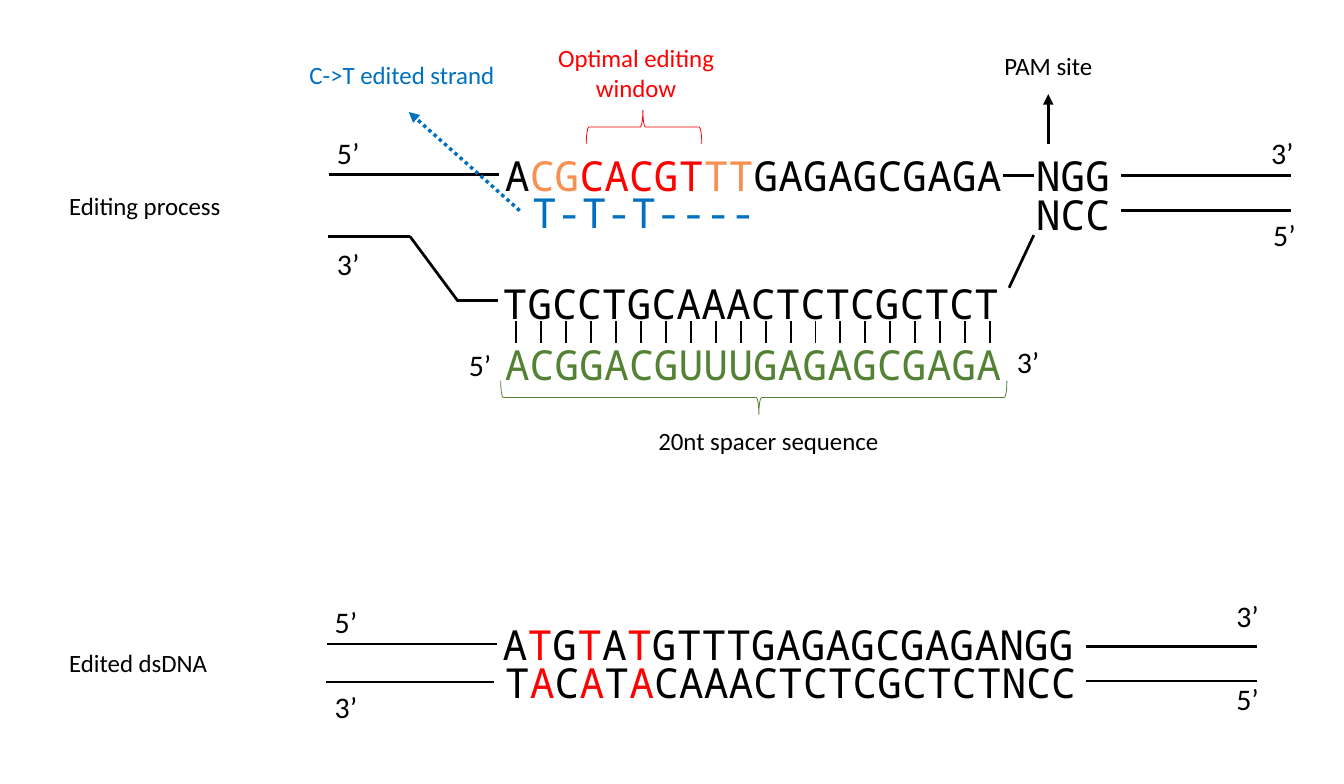
"""Build a slide showing the C-to-T base editing process and the edited dsDNA."""
import pptx
import pptx.dml.color
import pptx.enum.dml
import pptx.enum.shapes
import pptx.enum.text
import pptx.oxml
import pptx.oxml.ns
import pptx.util
from dataclasses import dataclass, field

Pt = pptx.util.Pt
ALIGN = pptx.enum.text.PP_ALIGN
SHAPE = pptx.enum.shapes.MSO_SHAPE


@dataclass
class Theme:
    """Colours, fonts and type sizes of the slide."""
    colours: dict = field(default_factory=lambda: {
        "black": "000000", "red": "FF0000", "orange": "F89051",
        "green": "548235", "blue": "0070C0"})
    sequence: dict = field(default_factory=lambda: {"name": "Noto Sans Mono", "size": Pt(26.6)})
    end: dict = field(default_factory=lambda: {"name": "Calibri", "size": Pt(19.2)})
    label: dict = field(default_factory=lambda: {"name": "Calibri", "size": Pt(16)})

    def colour(self, name):
        return pptx.dml.color.RGBColor.from_string(self.colours[name])


THEME = Theme()
PAGE_SIZE = (864, 504)
SEQUENCE_HEIGHT, END_HEIGHT, LABEL_HEIGHT = 39.6, 30.2, 26.6

SEQUENCES = [
    (317.5, 214.6, 400, [("ACGGACGUUUGAGAGCGAGA", "green")]),
    (317.5, 92.9, 400, [("A", "black"), ("CG", "orange"), ("CACGT", "red"),
                        ("TT", "orange"), ("GAGAGCGAGA", "black")]),
    (316.1, 175, 400, [("TGCCTGCAAACTCTCGCTCT", "black")]),
    (658.8, 92.9, 74.2, [("NGG", "black")]),
    (658.8, 118.1, 74.2, [("NCC", "black")]),
    (335, 116.6, 170, [("T-T-T----", "blue")]),
    (316.1, 394.6, 400, [("A", "black"), ("T", "red"), ("G", "black"), ("T", "red"),
                         ("A", "black"), ("T", "red"), ("GTTTGAGAGCGAGANGG", "black")]),
    (317.5, 419, 400, [("T", "black"), ("A", "red"), ("C", "black"), ("A", "red"),
                       ("T", "black"), ("A", "red"), ("CAAACTCTCGCTCTNCC", "black")]),
]
STRAND_ENDS = [
    (209.5, 82.8, "5’"), (209.5, 154.1, "3’"),
    (810, 82.8, "3’"), (811.4, 135.4, "5’"),
    (294.3, 219.6, "5’"), (646.6, 217.4, "3’"),
    (208.1, 384.5, "5’"), (208.1, 439.2, "3’"),
    (787.7, 380.9, "3’"), (787.7, 434.2, "5’"),
]
LABELS = [
    (638.6, 28.8, 133.2, ["PAM site"], "black", ALIGN.LEFT),
    (295.9, 23.8, 226.1, ["Optimal editing", "window"], "red", ALIGN.CENTER),
    (308.2, 270, 371.5, ["20nt spacer sequence"], "black", ALIGN.CENTER),
    (145.4, 34.6, 226.1, ["C->T edited strand"], "blue", ALIGN.CENTER),
    (37.4, 118.8, 133.2, ["Editing process"], "black", ALIGN.LEFT),
    (37.4, 412.6, 133.2, ["Edited dsDNA"], "black", ALIGN.LEFT),
]
STRANDS = [
    (211.7, 112.3, 321.1, 112.3), (293.8, 193, 320.4, 193),
    (720.7, 113, 830.2, 113), (720.7, 135.4, 830.2, 135.4),
    (648.7, 185, 664.6, 151.2), (645.1, 113, 664.6, 113),
    (263.5, 151.9, 294.5, 193.7), (211, 151.9, 263.5, 151.9),
    (210.2, 414, 319.7, 414), (209.5, 438.5, 317.5, 438.5),
    (698.4, 415.4, 807.8, 415.4), (698.4, 437.8, 807.8, 437.8),
]
ARROWS = [
    ((673.9, 92.9, 673.9, 60.5), "black", None),
    ((334.1, 135.4, 262.8, 72), "blue", pptx.enum.dml.MSO_LINE.ROUND_DOT),
]
BRACES = [
    ((473.8, 92.9, 21.6, 325.4), 270, "green"),
    ((403.2, 44.6, 21.6, 74.2), 90, "red"),
]
PAIRS, PAIR_LEFT, PAIR_PITCH, PAIR_TOP, PAIR_BOTTOM = 20, 331.9, 16.03, 206.6, 220.3


def apply(target, values):
    for name, value in values.items():
        setattr(target, name, value)


def add_text(page, frame, paragraphs, font, align=ALIGN.LEFT):
    box = page.shapes.add_textbox(*map(Pt, frame))
    box.text_frame.word_wrap = True
    for index, runs in enumerate(paragraphs):
        para = box.text_frame.paragraphs[0] if index == 0 else box.text_frame.add_paragraph()
        para.alignment = align
        for text, colour in runs:
            span = para.add_run()
            span.text = text
            apply(span.font, font)
            span.font.color.rgb = THEME.colour(colour)


def add_line(page, ends, width, colour="black", dash=None, arrow=False):
    straight = pptx.enum.shapes.MSO_CONNECTOR.STRAIGHT
    connector = page.shapes.add_connector(straight, *map(Pt, ends))
    connector.line.color.rgb = THEME.colour(colour)
    apply(connector.line, {"width": Pt(width), "dash_style": dash})
    if arrow:
        head = pptx.oxml.parse_xml(
            f'<a:tailEnd {pptx.oxml.ns.nsdecls("a")} type="triangle"/>')
        connector.line._get_or_add_ln().append(head)
    no_shadow = pptx.oxml.parse_xml(f'<a:effectLst {pptx.oxml.ns.nsdecls("a")}/>')
    connector._element.spPr.append(no_shadow)


def add_brace(page, frame, rotation, colour):
    brace = page.shapes.add_shape(SHAPE.LEFT_BRACE, *map(Pt, frame))
    brace.rotation = rotation
    brace.shadow.inherit = False
    brace.fill.background()
    brace.line.color.rgb = THEME.colour(colour)
    brace.line.width = Pt(0.5)
    brace.adjustments[0], brace.adjustments[1] = 0.08, 0.51


def main():
    deck = pptx.Presentation()
    deck.slide_width, deck.slide_height = map(Pt, PAGE_SIZE)
    page = deck.slides.add_slide(deck.slide_layouts[6])
    for left, top, width, runs in SEQUENCES:
        add_text(page, (left, top, width, SEQUENCE_HEIGHT), [runs], THEME.sequence)
    for left, top, text in STRAND_ENDS:
        add_text(page, (left, top, 40, END_HEIGHT), [[(text, "black")]], THEME.end)
    for left, top, width, lines, colour, align in LABELS:
        frame = (left, top, width, LABEL_HEIGHT * len(lines))
        add_text(page, frame, [[(text, colour)] for text in lines], THEME.label, align)
    for ends in STRANDS:
        add_line(page, ends, 1.75)
    for index in range(PAIRS):
        x = PAIR_LEFT + index * PAIR_PITCH
        add_line(page, (x, PAIR_TOP, x, PAIR_BOTTOM), 1.25)
    for ends, colour, dash in ARROWS:
        add_line(page, ends, 2.25, colour, dash, arrow=True)
    for frame, rotation, colour in BRACES:
        add_brace(page, frame, rotation, colour)
    deck.save("out.pptx")


if __name__ == "__main__":
    main()
